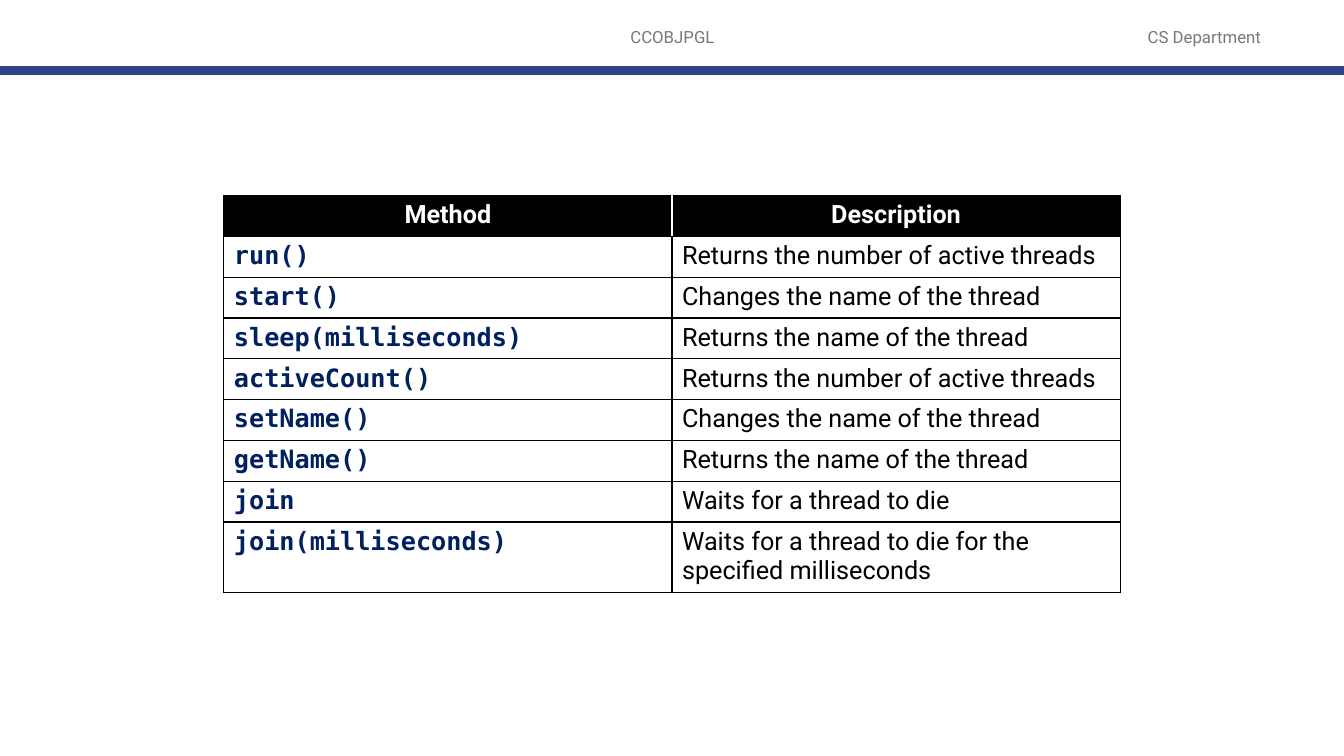
from dataclasses import dataclass

from lxml import etree
from pptx import Presentation
from pptx.dml.color import RGBColor
from pptx.enum.shapes import MSO_CONNECTOR
from pptx.enum.text import MSO_ANCHOR, PP_ALIGN
from pptx.oxml.ns import qn
from pptx.util import Inches, Pt

CENTER, LEFT = PP_ALIGN.CENTER, PP_ALIGN.LEFT
MIDDLE = MSO_ANCHOR.MIDDLE
STRAIGHT = MSO_CONNECTOR.STRAIGHT
SANS, MONO = "Roboto", "DejaVu Sans Mono"
COLORS = {"grey": "797979", "rule": "32418C", "black": "000000",
          "white": "FFFFFF", "navy": "002060"}


@dataclass
class Style:
    font: str
    size: int
    color: str
    bold: bool = False
    align: PP_ALIGN = LEFT


@dataclass
class Label:
    text: str
    left: float
    width: float


LABEL = Style(SANS, 12, "grey", align=CENTER)
HEADING = Style(SANS, 18, "white", bold=True, align=CENTER)
METHOD = Style(MONO, 18, "navy", bold=True)
DESCRIPTION = Style(SANS, 18, "black")

LABELS = [Label("CCOBJPGL", 4.42, 4.5), Label("CS Department", 10.92, 2.05)]
ROWS = [
    ("Method", "Description"),
    ("run()", "Returns the number of active threads"),
    ("start()", "Changes the name of the thread"),
    ("sleep(milliseconds)", "Returns the name of the thread"),
    ("activeCount()", "Returns the number of active threads"),
    ("setName()", "Changes the name of the thread"),
    ("getName()", "Returns the name of the thread"),
    ("join", "Waits for a thread to die"),
    ("join(milliseconds)",
     "Waits for a thread to die for the specified milliseconds"),
]
COL_W, ROW_H, LAST_ROW_H = 4.445, 0.405, 0.7


def rgb(name: str) -> RGBColor:
    return RGBColor.from_string(COLORS[name])


def write(tf, text: str, style: Style) -> None:
    tf.text = text
    p = tf.paragraphs[0]
    p.alignment = style.align
    font = p.runs[0].font
    font.name, font.size, font.bold = style.font, Pt(style.size), style.bold
    font.color.rgb = rgb(style.color)


def add_label(s, label: Label) -> None:
    box = s.shapes.add_textbox(Inches(label.left), Inches(0.17),
                               Inches(label.width), Inches(0.4))
    tf = box.text_frame
    tf.word_wrap = True
    tf.vertical_anchor = MIDDLE
    write(tf, label.text, LABEL)


def add_rule(s, width: int) -> None:
    rule = s.shapes.add_connector(STRAIGHT, 0, Inches(0.7), width, Inches(0.7))
    rule.line.color.rgb = rgb("rule")
    rule.line.width = Pt(6)
    etree.SubElement(rule._element.spPr, qn("a:effectLst"))


def add_borders(cell, sides: str) -> None:
    tcPr = cell._tc.get_or_add_tcPr()
    for side in sides:
        ln = etree.SubElement(tcPr, qn(f"a:ln{side}"), w=str(Pt(1)))
        fill = etree.SubElement(ln, qn("a:solidFill"))
        etree.SubElement(fill, qn("a:srgbClr"), val=COLORS["black"])


def add_method_table(s) -> None:
    height = ROW_H * (len(ROWS) - 1) + LAST_ROW_H
    frame = s.shapes.add_table(len(ROWS), 2, Inches(2.22), Inches(1.94),
                               Inches(2 * COL_W), Inches(height))
    table = frame.table
    for column in table.columns:
        column.width = Inches(COL_W)
    for row in table.rows:
        row.height = Inches(ROW_H)
    table.rows[len(ROWS) - 1].height = Inches(LAST_ROW_H)

    for i, texts in enumerate(ROWS):
        header = i == 0
        styles = (HEADING, HEADING) if header else (METHOD, DESCRIPTION)
        header_sides = ("LTB", "RTB")
        for j, (text, style) in enumerate(zip(texts, styles)):
            cell = table.cell(i, j)
            write(cell.text_frame, text, style)
            add_borders(cell, header_sides[j] if header else "LRTB")
            if header:
                cell.fill.solid()
                cell.fill.fore_color.rgb = rgb("black")
            else:
                cell.fill.background()


def main() -> None:
    prs = Presentation()
    prs.slide_width, prs.slide_height = Inches(13.33), Inches(7.5)
    s = prs.slides.add_slide(prs.slide_layouts[6])

    # Page header
    for label in LABELS:
        add_label(s, label)
    add_rule(s, prs.slide_width)

    # Thread methods
    add_method_table(s)

    prs.save("out.pptx")


if __name__ == "__main__":
    main()
